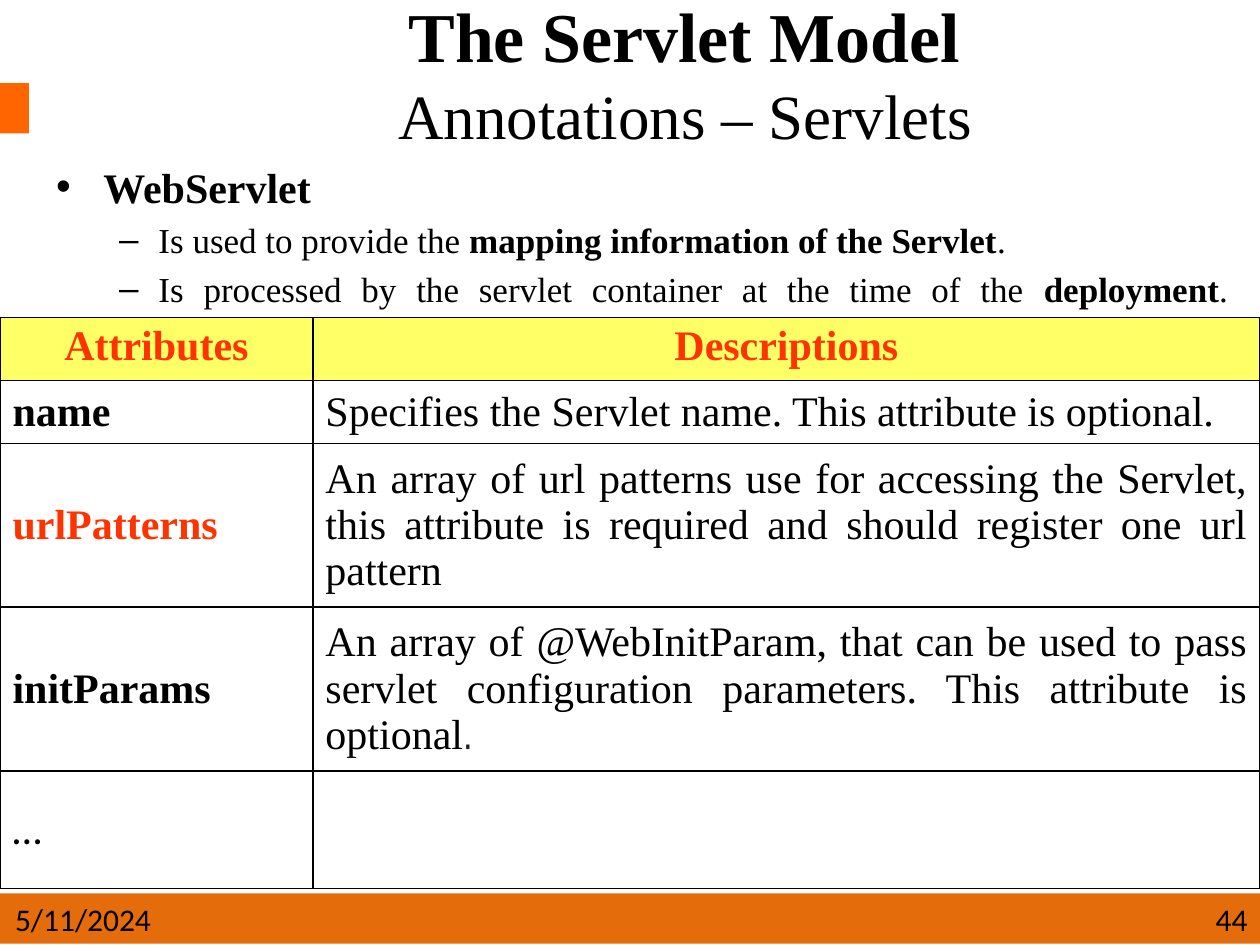
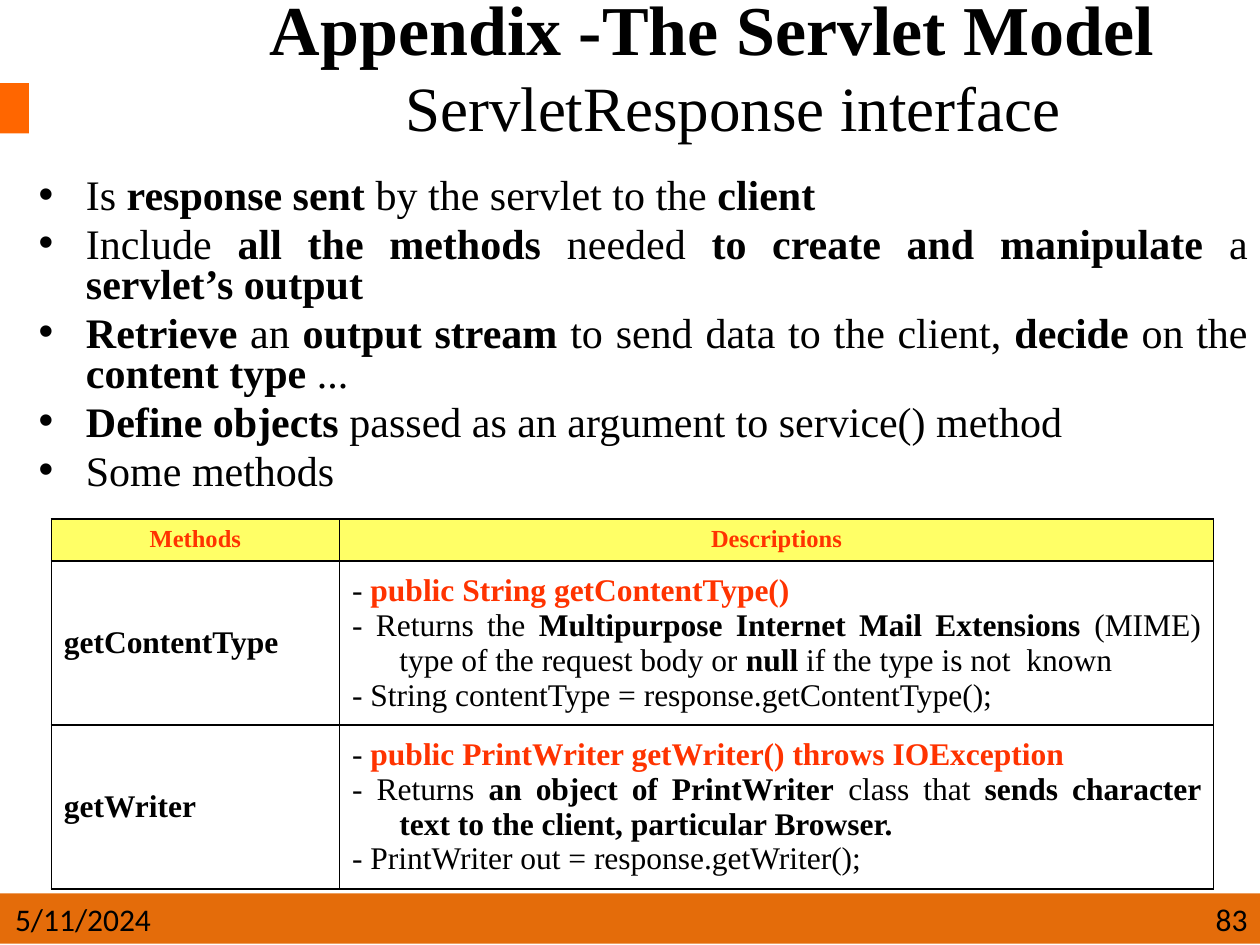
"""Builds two slides on servlet annotations and the ServletResponse interface."""
from dataclasses import dataclass

from lxml.etree import SubElement
from pptx import Presentation
from pptx.dml.color import RGBColor
from pptx.enum.shapes import MSO_SHAPE
from pptx.enum.text import MSO_ANCHOR, MSO_AUTO_SIZE, PP_ALIGN
from pptx.oxml.ns import qn
from pptx.util import Pt


@dataclass(frozen=True)
class Theme:
    """Colours, fonts and type sizes shared by the slides."""
    black: str = "000000"
    red: str = "FF3300"
    header_fill: str = "FFFF66"
    band: str = "E46C0A"
    marker: str = "FF6600"
    soft_black: str = "231F20"
    text_font: str = "Times New Roman"
    footer_font: str = "Calibri"
    narrow_font: str = "Arial Narrow"
    title_size: int = 40
    subtitle_size: int = 36
    body_size: int = 24
    detail_size: int = 20
    small_size: int = 18
    label_size: int = 14


THEME = Theme()


def write_text(paragraph, text, size=THEME.body_size, font=THEME.text_font,
               color=THEME.black, bold=False, align=None):
    """Append text; |bars| switch bold on, and |^bars| make it red too."""
    if align is not None:
        paragraph.alignment = align
    for index, piece in enumerate(text.split("|")):
        for line_index, line in enumerate(piece.lstrip("^").split("\n")):
            if line_index:
                paragraph.add_line_break()
                SubElement(paragraph._p[-1], qn("a:rPr"), sz=str(size * 100))
            if line:
                run = paragraph.add_run()
                run.text = line
                run.font.size = Pt(size)
                run.font.name = font
                run.font.bold = bold or index % 2 == 1
                run_color = THEME.red if piece.startswith("^") else color
                run.font.color.rgb = RGBColor.from_string(run_color)


def set_indent(paragraph, left, hanging, bullet=None):
    """Give a paragraph a hanging indent and an optional bullet."""
    properties = paragraph._p.get_or_add_pPr()
    properties.set("marL", str(Pt(left)))
    properties.set("indent", str(-Pt(hanging)))
    if bullet:
        SubElement(properties, qn("a:buFont"), typeface="Arial")
        SubElement(properties, qn("a:buChar"), char=bullet)


def set_borders(cell):
    """Draw a thin black line on each side of a cell."""
    properties = cell._tc.get_or_add_tcPr()
    for side in ("lnL", "lnR", "lnT", "lnB"):
        line = SubElement(properties, qn(f"a:{side}"), w=str(Pt(1)))
        fill = SubElement(line, qn("a:solidFill"))
        SubElement(fill, qn("a:srgbClr"), val=THEME.black)


class Deck:
    """Holds the theme and the current slide and draws each kind of element."""

    def __init__(self, theme):
        """Start an empty presentation."""
        self.theme = theme
        self.presentation = Presentation()
        self.presentation.slide_width = Pt(720)
        self.presentation.slide_height = Pt(540)
        self.slide = None

    def add_slide(self, number):
        """Start a slide with its bands and footer."""
        layout = self.presentation.slide_layouts[5]
        self.slide = self.presentation.slides.add_slide(layout)
        self.add_block(0, 510.5, 720, 28.8, self.theme.band)
        self.add_block(0, 47.5, 16.5, 28.8, self.theme.marker)
        self.add_footer_text(1.5, 109.5, "5/11/2024", PP_ALIGN.LEFT)
        self.add_footer_text(504, 216, str(number), PP_ALIGN.RIGHT)

    def add_block(self, left, top, width, height, color):
        """Draw a plain filled rectangle."""
        shape = self.slide.shapes.add_shape(
            MSO_SHAPE.RECTANGLE, Pt(left), Pt(top), Pt(width), Pt(height))
        shape.shadow.inherit = False
        shape.fill.solid()
        shape.fill.fore_color.rgb = RGBColor.from_string(color)
        shape.line.fill.background()

    def add_text_frame(self, left, top, width, height):
        """Add a wrapping text box and return its text frame."""
        shape = self.slide.shapes.add_textbox(
            Pt(left), Pt(top), Pt(width), Pt(height))
        shape.text_frame.word_wrap = True
        return shape.text_frame

    def add_footer_text(self, left, width, text, align):
        """Write one footer entry on the lower band."""
        frame = self.add_text_frame(left, 510.5, width, 28.8)
        frame.vertical_anchor = MSO_ANCHOR.MIDDLE
        write_text(frame.paragraphs[0], text, size=self.theme.small_size,
                   font=self.theme.footer_font, align=align)

    def add_title(self, left, top, width, height, parts, line_spacing=None):
        """Place the title and write its (text, size, bold) parts."""
        title = self.slide.shapes.title
        title.left, title.top = Pt(left), Pt(top)
        title.width, title.height = Pt(width), Pt(height)
        frame = title.text_frame
        frame.auto_size = MSO_AUTO_SIZE.NONE
        frame.vertical_anchor = MSO_ANCHOR.MIDDLE
        paragraph = frame.paragraphs[0]
        paragraph.line_spacing = line_spacing
        for text, size, bold in parts:
            write_text(paragraph, text, size=size, bold=bold,
                       align=PP_ALIGN.CENTER)

    def add_bullets(self, left, top, width, height, items, line_spacing=None):
        """Write (level, text) items as justified bullets."""
        styles = ((self.theme.body_size, 27, 27, "•"),
                  (self.theme.detail_size, 58.5, 22.5, "–"))
        frame = self.add_text_frame(left, top, width, height)
        for index, (level, text) in enumerate(items):
            paragraph = frame.add_paragraph() if index else frame.paragraphs[0]
            size, indent, hanging, bullet = styles[level]
            paragraph.level = level
            paragraph.line_spacing = line_spacing
            paragraph.space_before = Pt(size * 0.2)
            set_indent(paragraph, indent, hanging, bullet)
            write_text(paragraph, text, size=size, align=PP_ALIGN.JUSTIFY)

    def add_table(self, left, top, widths, heights, rows, header_size,
                  size, hanging=0):
        """Draw a bordered table with a coloured header row."""
        table = self.slide.shapes.add_table(
            len(rows), len(widths), Pt(left), Pt(top),
            Pt(sum(widths)), Pt(sum(heights))).table
        table.horz_banding = False
        for column, width in zip(table.columns, widths):
            column.width = Pt(width)
        for row_index, (height, texts) in enumerate(zip(heights, rows)):
            table.rows[row_index].height = Pt(height)
            for column_index, text in enumerate(texts):
                cell = table.cell(row_index, column_index)
                set_borders(cell)
                if row_index == 0:
                    cell.fill.solid()
                    cell.fill.fore_color.rgb = RGBColor.from_string(
                        self.theme.header_fill)
                    write_text(cell.text_frame.paragraphs[0], text,
                               size=header_size, color=self.theme.red,
                               bold=True, align=PP_ALIGN.CENTER)
                    continue
                cell.fill.background()
                cell.vertical_anchor = MSO_ANCHOR.MIDDLE
                align = PP_ALIGN.JUSTIFY if column_index else PP_ALIGN.LEFT
                self.fill_cell(cell, text, size, hanging, align)
        return table

    def fill_cell(self, cell, text, size, hanging, align):
        """Write each line of text as a paragraph of a cell."""
        frame = cell.text_frame
        for index, line in enumerate(text.split("\n")):
            paragraph = frame.add_paragraph() if index else frame.paragraphs[0]
            set_indent(paragraph, hanging, hanging)
            write_text(paragraph, line, size=size, align=align)


def build_annotations(deck):
    """Build the slide on servlet annotations."""
    theme = deck.theme
    deck.add_slide(44)
    deck.add_title(72, 0, 648, 83, [
        ("The Servlet Model \n", theme.title_size, True),
        ("Annotations – Servlets ", theme.subtitle_size, False)])
    deck.add_bullets(25, 88.5, 695, 93, [
        (0, "|WebServlet |"),
        (1, "Is used to provide the |mapping information of the Servlet|."),
        (1, "Is processed by the servlet container at the time of the "
            "|deployment|. \n")])
    attributes = deck.add_table(
        0, 181.3, (178.8, 541.2), (33.6, 33.6, 86.8, 86.8, 67.2), [
            ("Attributes", "Descriptions"),
            ("|name|",
             "Specifies the Servlet name. This attribute is optional."),
            ("|^urlPatterns|",
             "An array of url patterns use for accessing the Servlet, this "
             "attribute is required and should register one url pattern"),
            ("|initParams|",
             "An array of @WebInitParam, that can be used to pass servlet "
             "configuration parameters. This attribute is optional"),
            ("", "")],
        header_size=theme.body_size, size=theme.body_size)
    write_text(attributes.cell(3, 1).text_frame.paragraphs[0], ".",
               font=theme.narrow_font, color=theme.soft_black)
    write_text(attributes.cell(4, 0).text_frame.paragraphs[0], "…",
               font=theme.footer_font)


def build_response(deck):
    """Build the slide on the ServletResponse interface."""
    theme = deck.theme
    deck.add_slide(83)
    deck.add_title(104.5, 6, 615.5, 74, [
        ("Appendix -The Servlet Model", theme.title_size, True),
        (" \n", 44, False),
        (" ", 54, True),
        ("ServletResponse interface", theme.subtitle_size, False)],
        line_spacing=0.7)
    deck.add_bullets(15, 98.5, 705, 196, [
        (0, "Is |response sent |by the servlet to the |client|"),
        (0, "Include |all the methods |needed |to create and manipulate |a "
            "|servlet’s output|"),
        (0, "|Retrieve| an |output stream |to send data to the client, "
            "|decide| on the |content type |..."),
        (0, "|Define objects| passed as an argument to service() method "),
        (0, "Some methods")], line_spacing=0.8)
    deck.add_table(
        29.3, 296.6, (164.7, 499.5), (24, 93.6, 93.6), [
            ("Methods", "Descriptions"),
            ("|getContentType|",
             "- |^public String getContentType()|\n"
             "- Returns the |Multipurpose Internet Mail Extensions| (MIME) "
             "type of the request body or |null| if the type is not  known\n"
             "- String contentType = response.getContentType();"),
            ("|getWriter|",
             "- |^public PrintWriter getWriter() throws IOException|\n"
             "- Returns |an object of PrintWriter| class that |sends "
             "character text to the client, particular Browser.|\n"
             "- PrintWriter out = response.getWriter();")],
        header_size=theme.label_size, size=theme.small_size, hanging=27)


def main():
    """Build the presentation and save it."""
    deck = Deck(THEME)
    build_annotations(deck)
    build_response(deck)
    deck.presentation.save("out.pptx")


if __name__ == "__main__":
    main()
